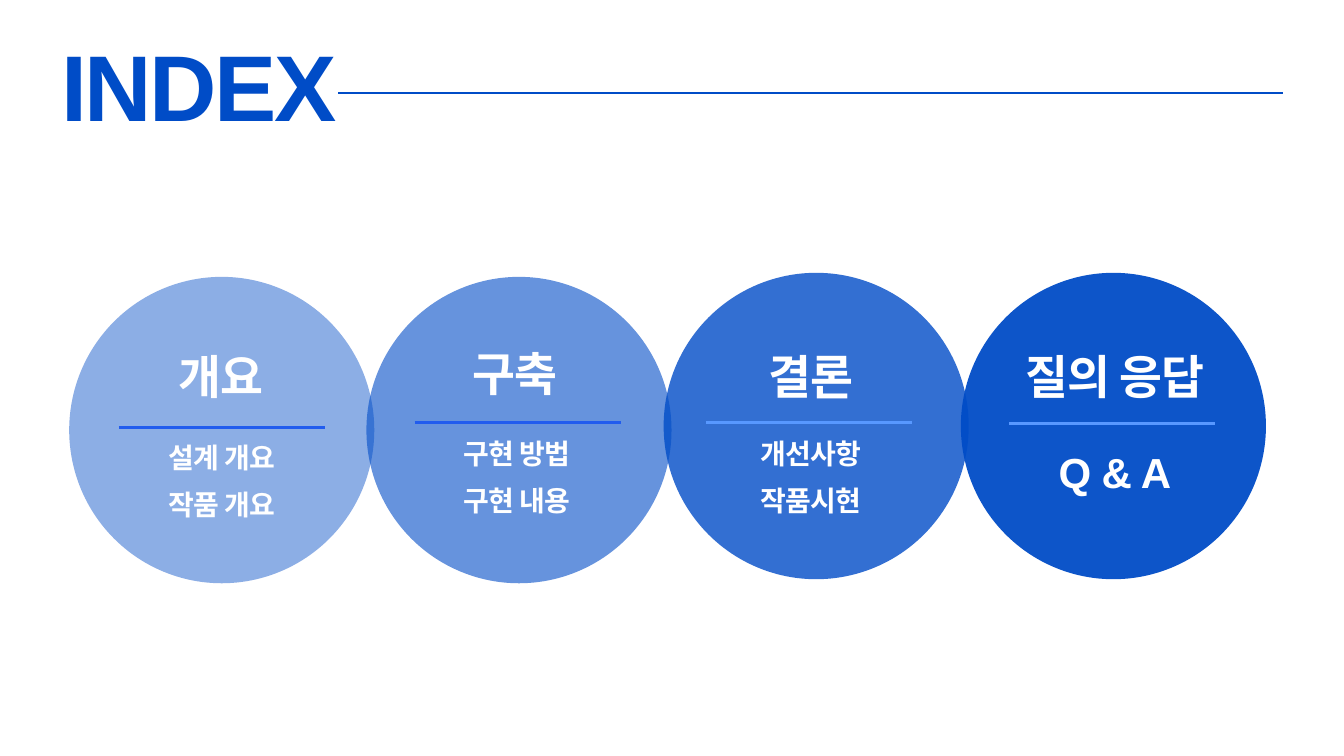
from lxml.etree import SubElement
from pptx import Presentation
from pptx.dml.color import RGBColor
from pptx.enum.shapes import MSO_CONNECTOR, MSO_SHAPE
from pptx.enum.text import MSO_ANCHOR, MSO_AUTO_SIZE, PP_ALIGN
from pptx.oxml.ns import qn
from pptx.util import Inches, Pt

COLORS = {k: RGBColor.from_string(v) for k, v in {
    "blue": "004CC7", "white": "FFFFFF", "dark": "215CEE", "light": "5898FF"}.items()}

prs = Presentation()
prs.slide_width, prs.slide_height = Inches(20), Inches(11.25)
U = prs.slide_width / 200  # grid unit: 200 columns, 112.5 rows
s = prs.slides.add_slide(prs.slide_layouts[5])


def write(sp, box, lines, size, color, leading, track, align, gap=0):
    """Place a text shape on the grid and fill it with bold lines."""
    sp.left, sp.top, sp.width, sp.height = (round(v * U) for v in box)
    tf = sp.text_frame
    frame = {"margin_left": 0, "margin_top": 0, "margin_right": 0, "margin_bottom": 0,
             "word_wrap": True, "auto_size": MSO_AUTO_SIZE.NONE,
             "vertical_anchor": MSO_ANCHOR.TOP}
    for name, value in frame.items():
        setattr(tf, name, value)
    for i, line in enumerate(lines):
        p = tf.add_paragraph() if i else tf.paragraphs[0]
        para = {"alignment": align, "line_spacing": Pt(leading),
                "space_before": Pt(gap if i else 0)}
        for name, value in para.items():
            setattr(p, name, value)
        r = p.add_run()
        r.text = line
        for name, value in {"name": "Arial", "size": Pt(size), "bold": True}.items():
            setattr(r.font, name, value)
        r.font.color.rgb = COLORS[color]
        r._r.get_or_add_rPr().set("spc", str(round(track * 100)))


def rule(x, y, length, color, weight):
    """Draw a horizontal line on the grid."""
    ln = s.shapes.add_connector(MSO_CONNECTOR.STRAIGHT, *(
        round(v * U) for v in (x, y, x + length, y)))
    ln.line.color.rgb = COLORS[color]
    ln.line.width = Pt(weight)
    SubElement(ln._element.spPr, qn("a:effectLst"))


# Title and its line
write(s.shapes.title, (9.1, 10.4, 108.1, 11.1), ["INDEX"], 100, "blue", 74.8, -2.6,
      PP_ALIGN.LEFT)
rule(50.3, 13.8, 140.6, "blue", 2.25)

# Sections: opacity, circle top, rule (x, y, colour), heading (x, y),
# details (x, y, size), heading text, detail lines
SECTIONS = [
    (45, 41.2, (17.7, 63.6, "dark"), (15.5, 55.5), (15.6, 67.1, 30),
     "개요", ["설계 개요", "작품 개요"]),
    (60, 41.2, (61.7, 62.9, "dark"), (59.2, 55), (59.5, 66.5, 30),
     "구축", ["구현 방법", "구현 내용"]),
    (80, 40.6, (105, 62.9, "light"), (103.3, 55.5), (103.3, 66.5, 30),
     "결론", ["개선사항", "작품시현"]),
    (95, 40.6, (150.2, 63, "light"), (148.5, 55.5), (148.5, 70.4, 45),
     "질의 응답", ["Q & A"]),
]
LEFT, PITCH, TEXT_W = 10.3, 44.23, 34.8

# Overlapping circles
for i, (opacity, top, *_) in enumerate(SECTIONS):
    sp = s.shapes.add_shape(MSO_SHAPE.OVAL, *(
        round(v * U) for v in (LEFT + i * PITCH, top, 45.4, 45.6)))
    sp.shadow.inherit = False
    sp.fill.solid()
    sp.fill.fore_color.rgb = COLORS["blue"]
    clr = sp._element.spPr.find(qn("a:solidFill"))[0]
    SubElement(clr, qn("a:alpha"), val=str(opacity * 1000))
    sp.line.fill.background()

# Rules, headings and details
for _, _, (rx, ry, color), (hx, hy), (dx, dy, size), heading, details in SECTIONS:
    rule(rx, ry, 30.65, color, 3)
    write(s.shapes.add_textbox(0, 0, 0, 0), (hx, hy, TEXT_W, 5.3), [heading], 50,
          "white", 33.6, -1.1, PP_ALIGN.CENTER)
    write(s.shapes.add_textbox(0, 0, 0, 0), (dx, dy, TEXT_W, 5.3 * len(details)), details,
          size, "white", 25.2, -0.7, PP_ALIGN.CENTER, gap=25.2)

prs.save("out.pptx")
